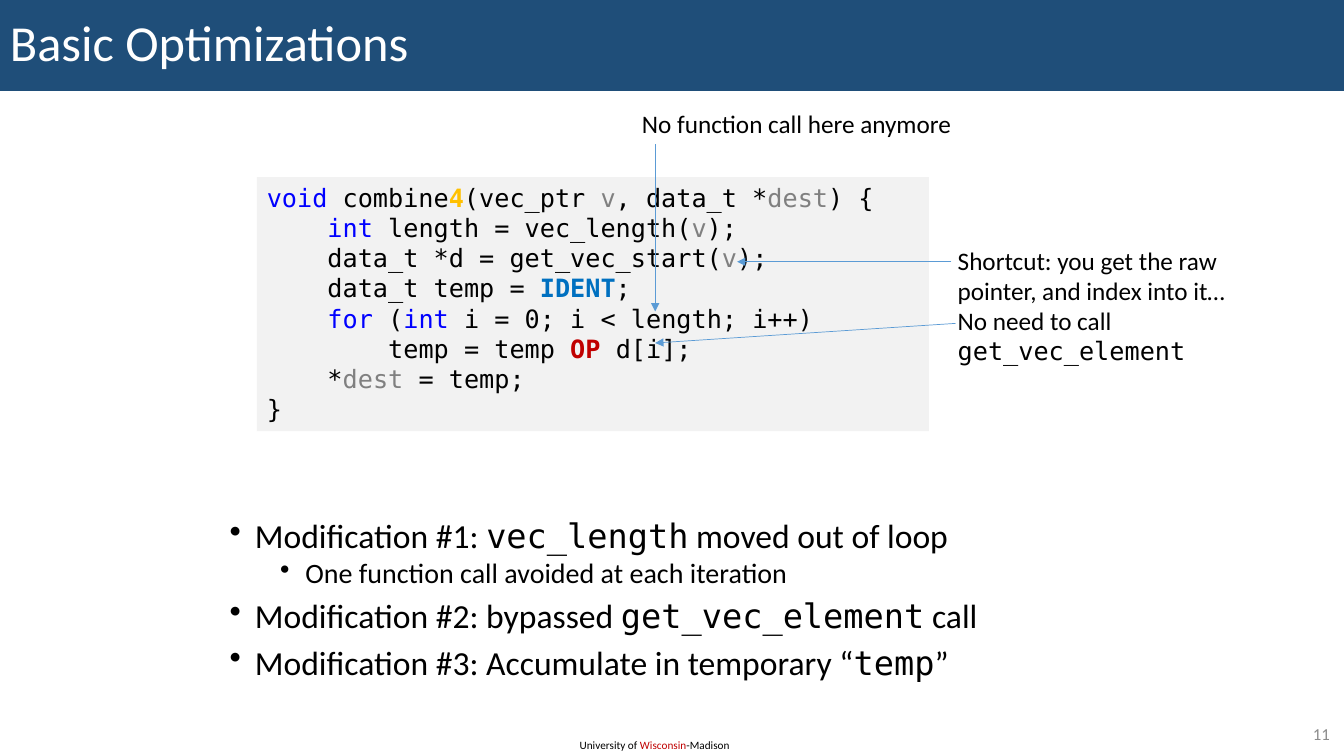
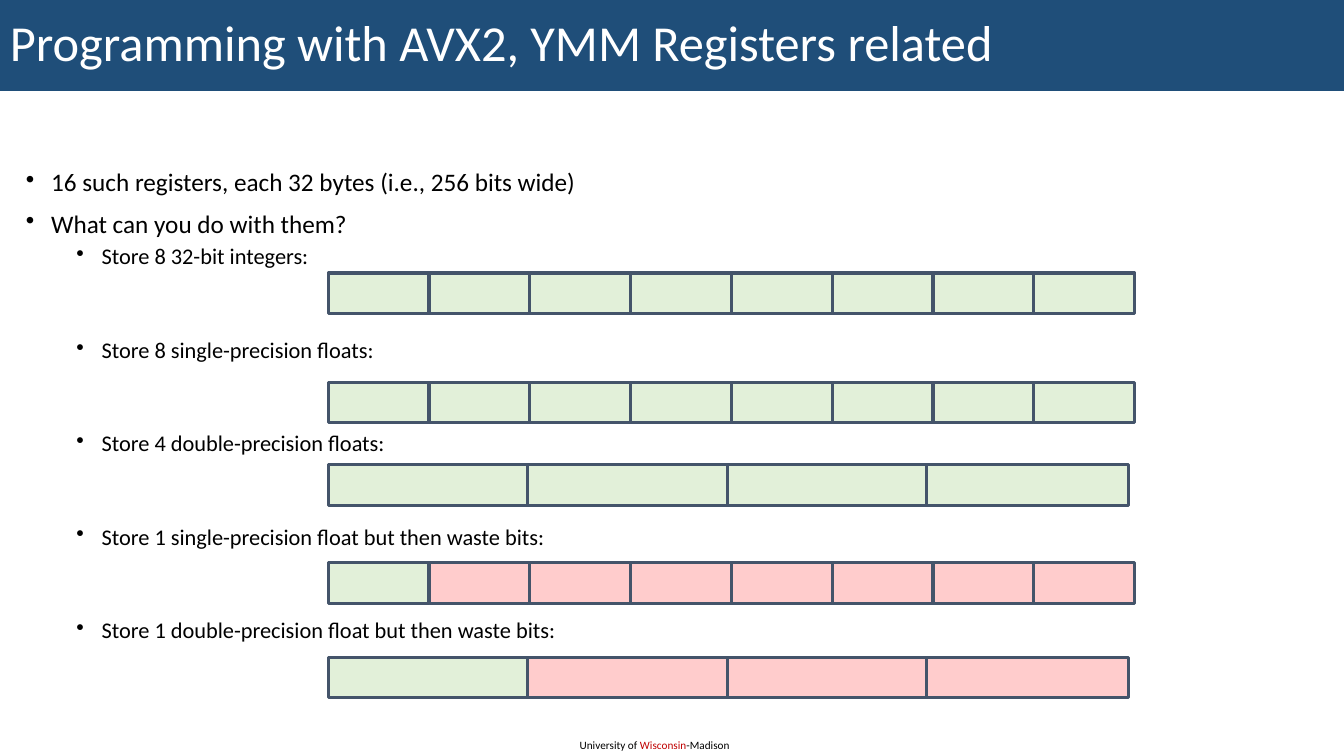
import dataclasses

import pptx
import pptx.dml.color
import pptx.enum.shapes
import pptx.enum.text
import pptx.oxml
import pptx.oxml.ns
import pptx.util

Pt = pptx.util.Pt
MIDDLE = pptx.enum.text.MSO_ANCHOR.MIDDLE
RIGHT = pptx.enum.text.PP_ALIGN.RIGHT


@dataclasses.dataclass(frozen=True)
class Theme:
    # Fonts
    sans: str = "Calibri"
    mono: str = "DejaVu Sans Mono"
    # Type sizes
    title_size: float = 36
    text_size: float = 18
    number_size: float = 12
    footer_size: float = 8
    # Colours
    band: str = "1F4E79"
    white: str = "FFFFFF"
    black: str = "000000"
    gray: str = "8C8C8C"
    accent: str = "C00000"
    code_fill: str = "F2F2F2"
    arrow: str = "5B9BD5"
    lane_line: str = "44546A"
    lane_used: str = "E2F0D9"
    lane_wasted: str = "FFCCCC"
    keyword: str = "0000FF"
    version: str = "FFC000"
    argument: str = "808080"
    constant: str = "0070C0"


@dataclasses.dataclass(frozen=True)
class Box:
    left: float
    top: float
    width: float
    height: float

    def lengths(self):
        return [Pt(value) for value in dataclasses.astuple(self)]


THEME = Theme()
PAGE = Box(0, 0, 960, 540)

# Run styles: colour, bold, font; None keeps what the paragraph sets
STYLES = {
    "keyword": (THEME.keyword, None, None),
    "argument": (THEME.argument, None, None),
    "version": (THEME.version, True, None),
    "constant": (THEME.constant, True, None),
    "operator": (THEME.accent, True, None),
    "accent": (THEME.accent, None, None),
    "mono": (None, None, THEME.mono),
}

CODE = [
    [("void", "keyword"), " combine", ("4", "version"), "(vec_ptr ", ("v", "argument"),
     ", data_t *", ("dest", "argument"), ") {"],
    ["    ", ("int", "keyword"), " length = vec_length(", ("v", "argument"), ");"],
    ["    data_t *d = get_vec_start(", ("v", "argument"), ");"],
    ["    data_t temp = ", ("IDENT", "constant"), ";"],
    ["    ", ("for", "keyword"), " (", ("int", "keyword"), " i = 0; i < length; i++)"],
    ["        temp = temp ", ("OP", "operator"), " d[i];"],
    ["    *", ("dest", "argument"), " = temp;"],
    ["}"],
]

# Bullets: level, space before, runs
MODIFICATIONS = [
    (0, 0, ["Modification #1: ", ("vec_length", "mono"), " moved out of loop"]),
    (1, 5, ["One function call avoided at each iteration"]),
    (0, 10, ["Modification #2: bypassed ", ("get_vec_element", "mono"), " call"]),
    (0, 10, ["Modification #3: Accumulate in temporary “", ("temp", "mono"), "”"]),
]
ROW_GAP = 49.5
REGISTER_USES = [
    (0, 0, ["16 such registers, each 32 bytes (i.e., 256 bits wide)"]),
    (0, 10, ["What can you do with them?"]),
    (1, 5, ["Store 8 32-bit integers:"]),
    (1, ROW_GAP, ["Store 8 single-precision floats:"]),
    (1, ROW_GAP, ["Store 4 double-precision floats:"]),
    (1, ROW_GAP, ["Store 1 single-precision float but then waste bits:"]),
    (1, ROW_GAP, ["Store 1 double-precision float but then waste bits:"]),
]

# Register rows: top, lanes, lanes in use
REGISTERS = [(195, 8, 8), (273, 8, 8), (332, 4, 4), (402, 8, 1), (469.5, 4, 1)]
LANE_STEP = {8: 72, 4: 142.5}
LANE_WIDTH = {8: 72, 4: 144}


def rgb(colour):
    return pptx.dml.color.RGBColor.from_string(colour)


def add_element(parent, tag, **attributes):
    element = pptx.oxml.parse_xml(f"<a:{tag} {pptx.oxml.ns.nsdecls('a')}/>")
    for name, value in attributes.items():
        element.set(name, value)
    parent.append(element)
    return element


def fill_para(para, runs, size, colour=THEME.black, font=THEME.sans):
    """Write the runs; a newline inside a run is a line break."""
    para.font.name, para.font.size = font, Pt(size)
    para.font.color.rgb = rgb(colour)
    for run in runs:
        text, style = (run, None) if isinstance(run, str) else run
        run_colour, bold, run_font = STYLES.get(style, (None, None, None))
        for index, line in enumerate(text.split("\n")):
            if index:
                para.add_line_break()
            span = para.add_run()
            span.text = line
            span.font.bold = bold
            if run_font:
                span.font.name = run_font
            if run_colour:
                span.font.color.rgb = rgb(run_colour)


def add_text(page, box, paras=(), size=THEME.text_size, fill=None, anchor=None, **style):
    shape = page.shapes.add_textbox(*box.lengths())
    frame = shape.text_frame
    frame.word_wrap = True
    if anchor is not None:
        frame.vertical_anchor = anchor
    if fill:
        shape.fill.solid()
        shape.fill.fore_color.rgb = rgb(fill)
    for index, runs in enumerate(paras):
        para = frame.add_paragraph() if index else frame.paragraphs[0]
        fill_para(para, runs, size, **style)
    return frame


def add_arrow(page, start, end):
    points = [Pt(value) for value in (*start, *end)]
    arrow = page.shapes.add_connector(pptx.enum.shapes.MSO_CONNECTOR.STRAIGHT, *points)
    arrow.line.color.rgb = rgb(THEME.arrow)
    arrow.line.width = Pt(0.5)
    add_element(arrow.line._get_or_add_ln(), "tailEnd", type="triangle")
    add_element(arrow._element.spPr, "effectLst")


def add_bullets(page, box, items, sizes, spacing):
    frame = add_text(page, box)
    for index, (level, before, runs) in enumerate(items):
        para = frame.add_paragraph() if index else frame.paragraphs[0]
        para.level = level
        para.line_spacing = spacing
        para.space_before = Pt(before)
        properties = para._p.get_or_add_pPr()
        properties.set("marL", str(Pt(18 + 36 * level)))
        properties.set("indent", str(Pt(-18)))
        add_element(properties, "buChar", char="•")
        fill_para(para, runs, sizes[level])


def add_frame(deck, title):
    """New page with the title band and the footer."""
    page = deck.slides.add_slide(deck.slide_layouts[6])
    add_text(page, Box(407, 524, 124, 17),
             [["University of ", ("Wisconsin", "accent"), "-Madison"]], THEME.footer_size)
    band = add_text(page, Box(0, 0, PAGE.width, 65), [[title]], THEME.title_size,
                    fill=THEME.band, anchor=MIDDLE, colour=THEME.white)
    band.paragraphs[0].line_spacing = 0.9
    return page


def add_page_number(page, box, number):
    frame = add_text(page, box, [[number]], THEME.number_size,
                     anchor=MIDDLE, colour=THEME.gray)
    frame.paragraphs[0].alignment = RIGHT


def add_annotated_code(page, box):
    """Code panel, with two callouts and arrows placed from its corner."""
    def at(x, y):
        return box.left + x, box.top + y

    add_text(page, box, CODE, fill=THEME.code_fill, font=THEME.mono)
    add_text(page, Box(*at(493.5, 45), 279, 73),
             [["Shortcut: you get the raw\npointer, and index into it…\nNo need to call\n",
               ("get_vec_element", "mono")]])
    add_text(page, Box(*at(268, -52.5), 244, 29), [["No function call here anymore"]])
    add_arrow(page, at(496, 60.5), at(343, 60.5))
    add_arrow(page, at(499, 104.5), at(284.5, 118.5))
    add_arrow(page, at(284.5, -23.5), at(284.5, 96))


def add_register(page, left, top, lanes, used):
    for lane in range(lanes):
        box = Box(left + lane * LANE_STEP[lanes], top, LANE_WIDTH[lanes], 29)
        cell = page.shapes.add_shape(pptx.enum.shapes.MSO_SHAPE.RECTANGLE, *box.lengths())
        cell.shadow.inherit = False
        cell.fill.solid()
        cell.fill.fore_color.rgb = rgb(THEME.lane_used if lane < used else THEME.lane_wasted)
        cell.line.color.rgb = rgb(THEME.lane_line)
        cell.line.width = Pt(2.25)


def build_optimizations(deck):
    page = add_frame(deck, "Basic Optimizations")
    add_bullets(page, Box(157, 370, 622, 121), MODIFICATIONS, (24, 20), 0.8)
    add_page_number(page, Box(902, 513.5, 55, 21), "11")
    add_annotated_code(page, Box(183.5, 126.5, 480, 181.5))


def build_registers(deck):
    page = add_frame(deck, "Programming with AVX2, YMM Registers related")
    add_bullets(page, Box(11.5, 118, 942, 388), REGISTER_USES, (18, 16), 0.9)
    for top, lanes, used in REGISTERS:
        add_register(page, 234.5, top, lanes, used)


def main():
    deck = pptx.Presentation()
    deck.slide_width, deck.slide_height = Pt(PAGE.width), Pt(PAGE.height)
    build_optimizations(deck)
    build_registers(deck)
    deck.save("out.pptx")


if __name__ == "__main__":
    main()
